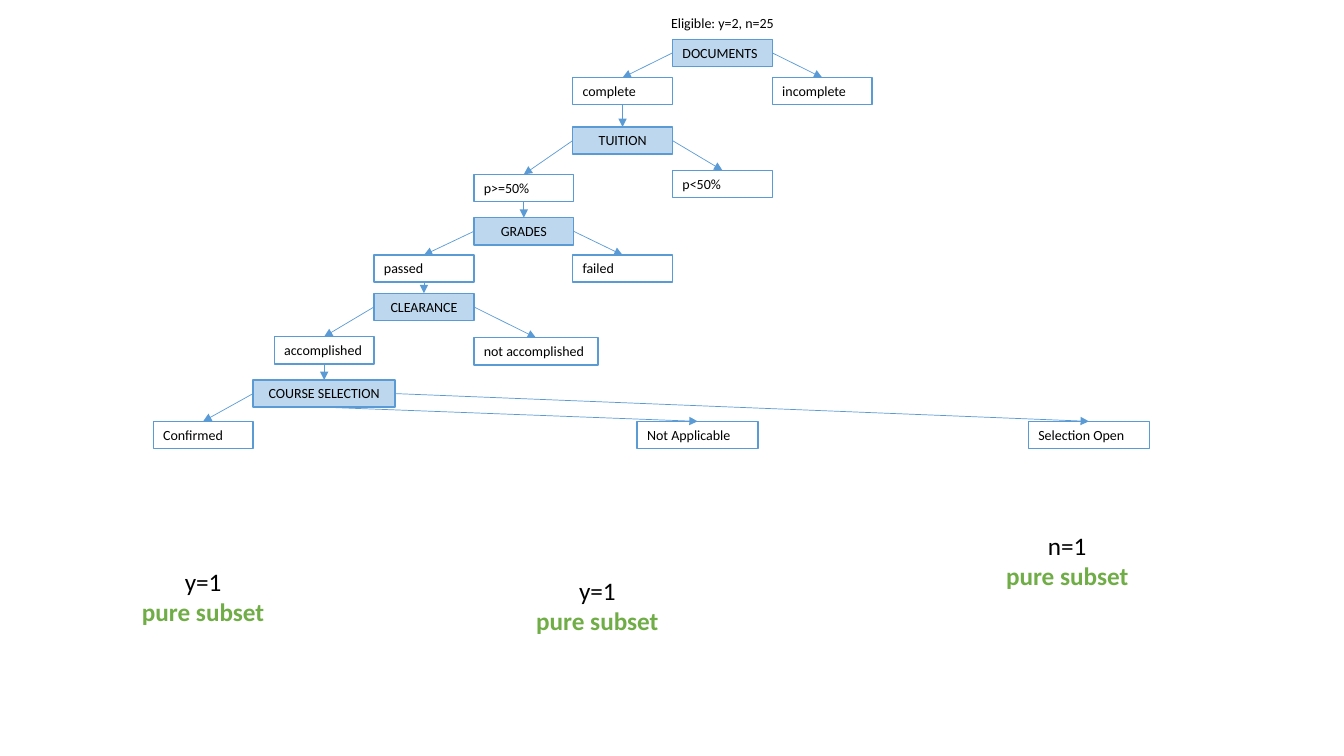
from dataclasses import dataclass
from lxml.etree import SubElement
from pptx import Presentation
from pptx.dml.color import RGBColor
from pptx.enum.shapes import MSO_CONNECTOR
from pptx.enum.text import MSO_AUTO_SIZE, PP_ALIGN
from pptx.oxml.ns import qn
from pptx.util import Pt

# Content: each test has (text, x, y, width, align), then its answers
# as (text, x, y, width, side of the test the arrow leaves from).
# The first answer leads down to the next test.
LEFT, MID = PP_ALIGN.LEFT, PP_ALIGN.CENTER
TREE = [
    (("DOCUMENTS", 667, 39, 99, LEFT),
     [("complete", 568, 77, 99, "left"), ("incomplete", 766, 77, 99, "right")]),
    (("TUITION", 568, 126, 99, MID),
     [("p>=50%", 470, 173, 99, "left"), ("p<50%", 667, 169, 99, "right")]),
    (("GRADES", 470, 216, 99, MID),
     [("passed", 371, 253, 99, "left"), ("failed", 568, 253, 99, "right")]),
    (("CLEARANCE", 371, 291, 99, MID),
     [("accomplished", 272, 334, 99, "left"),
      ("not accomplished", 470, 335, 123, "right")]),
    (("COURSE SELECTION", 251, 377, 141, MID),
     [("Confirmed", 152, 418, 99, "left"),
      ("Not Applicable", 632, 418, 120, "bottom"),
      ("Selection Open", 1020, 418, 120, "right")]),
]
HEAD = ("Eligible: y=2, n=25", 601, 9)
PURE = "pure subset"
ENDS = [("y=1", 86, 557), ("y=1", 477, 566), ("n=1", 943, 521)]

# Geometry
PX = 9144
WIDE, ROW, NOTE, TALL = 231, 27, 10, 71
SITE = {"top": 0, "left": 1, "bottom": 2, "right": 3}


@dataclass(frozen=True)
class Theme:
    font: str = "Calibri"
    small: int = 10
    big: int = 18
    ink: str = "000000"
    line: str = "5B9BD5"
    test: str = "BDD7EE"
    plain: str = "FFFFFF"
    pure: str = "70AD47"


THEME = Theme()


def rgb(code):
    return RGBColor.from_string(code)


def add_box(slide, lines, x, y, w, h, fill, size, align, edge=True):
    """Add a box; lines holds (text, colour, bold) for each paragraph."""
    box = slide.shapes.add_textbox(x * PX, y * PX, w * PX, h * PX)
    box.fill.solid()
    box.fill.fore_color.rgb = rgb(fill)
    if edge:
        box.line.color.rgb = rgb(THEME.line)
        box.line.width = Pt(1)
    frame = box.text_frame
    frame.word_wrap = True
    frame.auto_size = MSO_AUTO_SIZE.SHAPE_TO_FIT_TEXT
    frame.text = "\n".join(text for text, _, _ in lines)
    for para, (_, ink, bold) in zip(frame.paragraphs, lines):
        para.alignment = align
        para.font.name = THEME.font
        para.font.size = Pt(size)
        para.font.bold = bold
        para.font.color.rgb = rgb(ink)
    return box


def add_arrow(slide, start, side, end):
    """Join one side of a box to the top of another."""
    link = slide.shapes.add_connector(MSO_CONNECTOR.STRAIGHT, 0, 0, 0, 0)
    link.begin_connect(start, SITE[side])
    link.end_connect(end, SITE["top"])
    link.line.color.rgb = rgb(THEME.line)
    link.line.width = Pt(0.5)
    SubElement(link.line._get_or_add_ln(), qn("a:tailEnd"), type="triangle")
    SubElement(link._element.spPr, qn("a:effectLst"))


def add_tree(slide):
    last = None
    for (name, x, y, w, align), answers in TREE:
        test = add_box(slide, [(name, THEME.ink, False)], x, y, w, ROW,
                       THEME.test, THEME.small, align)
        if last is not None:
            add_arrow(slide, last, "bottom", test)
        kids = []
        for text, left, top, width, side in answers:
            kid = add_box(slide, [(text, THEME.ink, False)], left, top, width,
                          ROW, THEME.plain, THEME.small, LEFT)
            add_arrow(slide, test, side, kid)
            kids.append(kid)
        last = kids[0]


def main():
    deck = Presentation()
    deck.slide_width, deck.slide_height = 1333 * PX, 750 * PX
    slide = deck.slides.add_slide(deck.slide_layouts[6])

    # Heading count
    text, x, y = HEAD
    add_box(slide, [(text, THEME.ink, False)], x, y, WIDE, ROW,
            THEME.plain, THEME.small, MID, edge=False)

    # Decision tree
    add_tree(slide)

    # Results under the last answers
    for count, x, y in ENDS:
        lines = [(count, THEME.ink, False), (PURE, THEME.pure, True)]
        add_box(slide, lines, x, y, WIDE, TALL, THEME.plain, THEME.big, MID,
                edge=False)

    deck.save("out.pptx")


if __name__ == "__main__":
    main()
